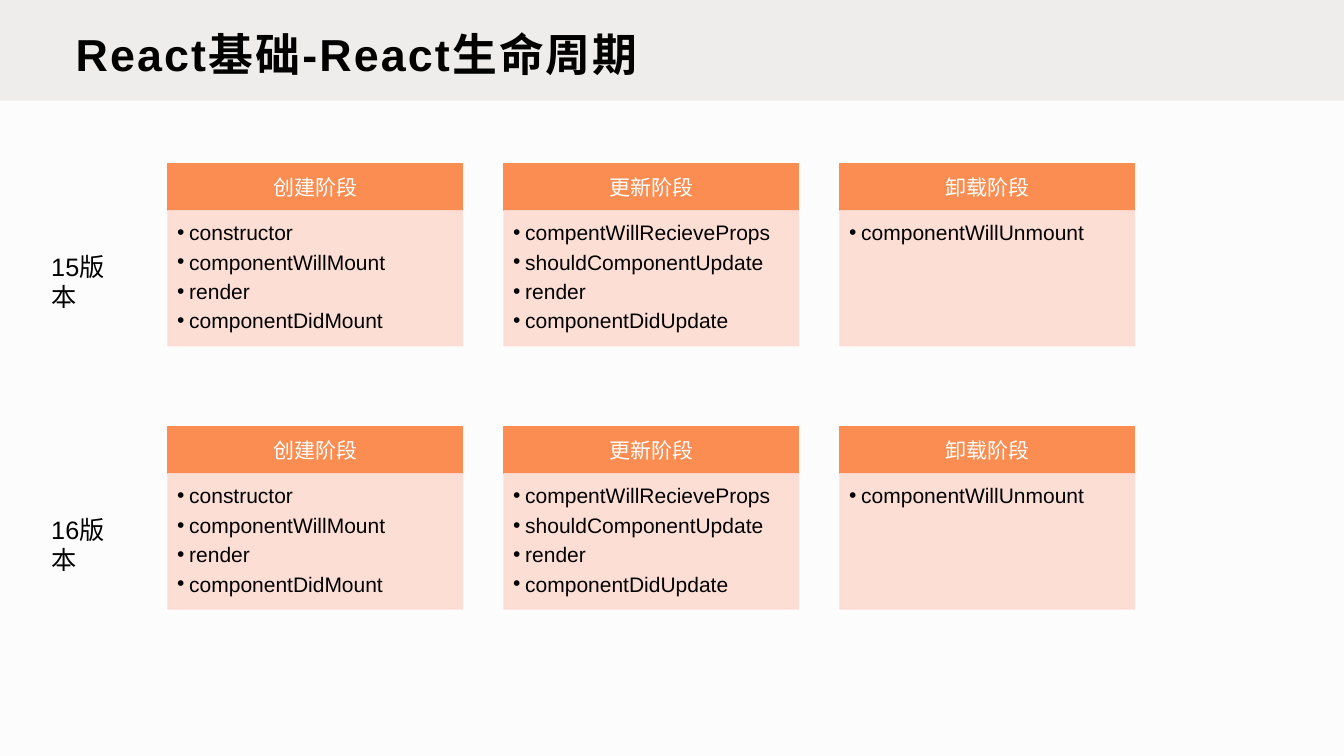
from dataclasses import dataclass

from lxml.etree import SubElement
from pptx import Presentation
from pptx.dml.color import RGBColor as Rgb
from pptx.enum.shapes import MSO_SHAPE as Preset
from pptx.enum.text import MSO_ANCHOR as Anchor, MSO_AUTO_SIZE as Fit, PP_ALIGN as Align
from pptx.oxml.ns import qn
from pptx.util import Inches, Pt


@dataclass(frozen=True)
class Theme:
    """Colours, font and type sizes of the slide."""
    paper: str = "FDFCFC"
    banner: str = "EFEDEC"
    accent: str = "FB8D52"
    tint: str = "FDDBD1"
    ink: str = "000000"
    light: str = "FFFFFF"
    font: str = "Arial"
    title: int = 32
    label: int = 18
    text: int = 15


class LifecycleSlide:
    """Draws the banner, version labels and phase cards on one slide."""

    def __init__(self, deck, theme):
        """Add the slide and paint its background."""
        self.theme = theme
        self.layout = deck.slide_layouts[1]
        self.slide = deck.slides.add_slide(self.layout)
        self.shapes = self.slide.shapes
        starter = self.slide.placeholders[1].element
        starter.getparent().remove(starter)
        self.paint(self.slide.background.fill, theme.paper)

    def paint(self, fill, color):
        """Make a fill solid."""
        fill.solid()
        fill.fore_color.rgb = Rgb.from_string(color)

    def place(self, shape, box):
        """Move a shape to left, top, width and height in inches."""
        shape.left, shape.top, shape.width, shape.height = map(Inches, box)

    def panel(self, shape, color):
        """Fill and outline a shape in one colour."""
        self.paint(shape.fill, color)
        self.paint(shape.line.fill, color)
        shape.line.width = Pt(1)

    def frame(self, shape, insets, anchor):
        """Prepare the text frame of a shape."""
        frame = shape.text_frame
        frame.word_wrap, frame.auto_size = True, Fit.NONE
        frame.vertical_anchor = anchor
        (frame.margin_left, frame.margin_top,
         frame.margin_right, frame.margin_bottom) = map(Inches, insets)
        return frame

    def add_words(self, paragraph, words, size, color, align=Align.LEFT):
        """Add one styled run to a paragraph."""
        paragraph.alignment = align
        run = paragraph.add_run()
        run.text = words
        run.font.name, run.font.size = self.theme.font, Pt(size)
        run.font.color.rgb = Rgb.from_string(color)
        return run

    def rectangle(self, box):
        """Add a rectangle without shadow."""
        shape = self.shapes.add_shape(Preset.RECTANGLE, *map(Inches, box))
        shape.shadow.inherit = False
        return shape

    def banner(self, words, band_box, title_box):
        """Set the title over a full-width band."""
        band = self.rectangle(band_box)
        self.paint(band.fill, self.theme.banner)
        band.line.fill.background()
        self.shapes.element.insert(2, band.element)
        self.place(self.shapes.title, title_box)
        frame = self.frame(self.shapes.title, (0.08, 0.04, 0.08, 0.04), Anchor.BOTTOM)
        run = self.add_words(frame.paragraphs[0], words, self.theme.title, self.theme.ink)
        run.font.bold = True
        run._r.get_or_add_rPr().set("spc", "150")

    def label(self, words, box):
        """Add a version label."""
        note = self.shapes.add_textbox(*map(Inches, box))
        frame = self.frame(note, (0.1, 0.05, 0.1, 0.05), Anchor.TOP)
        self.add_words(frame.paragraphs[0], words, self.theme.label, self.theme.ink)

    def heading(self, words, box):
        """Add the coloured head of a phase card."""
        head = self.rectangle(box)
        self.panel(head, self.theme.accent)
        frame = self.frame(head, (0.12, 0.07, 0.12, 0.07), Anchor.MIDDLE)
        self.add_words(frame.paragraphs[0], words, self.theme.text,
                       self.theme.light, Align.CENTER)

    def methods(self, names, box):
        """Add the bulleted list of a phase card."""
        self.shapes.clone_placeholder(self.layout.placeholders[1])
        body = self.shapes[-1]
        self.place(body, box)
        self.panel(body, self.theme.tint)
        for color in body.element.iter(qn("a:srgbClr")):
            SubElement(color, qn("a:alpha")).set("val", "90000")
        frame = self.frame(body, (0.09, 0.09, 0.12, 0.13), Anchor.TOP)
        for index, name in enumerate(names):
            item = frame.add_paragraph() if index else frame.paragraphs[0]
            item.space_before, item.space_after = Pt(0), Pt(3)
            self.add_words(item, name, self.theme.text, self.theme.ink)
            props = item._p.get_or_add_pPr()
            props.set("marL", str(Inches(0.12)))
            props.set("indent", str(Inches(-0.12)))
            SubElement(props, qn("a:buChar")).set("char", "•")


WIDTH, HEIGHT = 13.33, 7.5
CARD_LEFT, CARD_TOP = WIDTH / 8, 1.62
COLUMN, ROW = WIDTH / 4, 2.61
CARD_WIDTH, HEAD_HEIGHT, LIST_HEIGHT = 2.92, 0.47, 1.34
VERSIONS = ("15版本", "16版本")
PHASES = {
    "创建阶段": ("constructor", "componentWillMount", "render", "componentDidMount"),
    "更新阶段": ("compentWillRecieveProps", "shouldComponentUpdate", "render",
             "componentDidUpdate"),
    "卸载阶段": ("componentWillUnmount",),
}


def main():
    """Build and save the slide."""
    deck = Presentation()
    deck.slide_width, deck.slide_height = Inches(WIDTH), Inches(HEIGHT)
    lifecycle = LifecycleSlide(deck, Theme())
    lifecycle.banner("React基础-React生命周期", (0, 0, WIDTH, 1), (0.67, 0.17, 12, 0.67))
    for row, version in enumerate(VERSIONS):
        top = CARD_TOP + row * ROW
        for column, (phase, names) in enumerate(PHASES.items()):
            left = CARD_LEFT + column * COLUMN
            lifecycle.heading(phase, (left, top, CARD_WIDTH, HEAD_HEIGHT))
            lifecycle.methods(names, (left, top + HEAD_HEIGHT, CARD_WIDTH, LIST_HEIGHT))
        lifecycle.label(version, (0.41, top + 0.82, 0.95, 0.4))
    deck.save("out.pptx")


if __name__ == "__main__":
    main()
